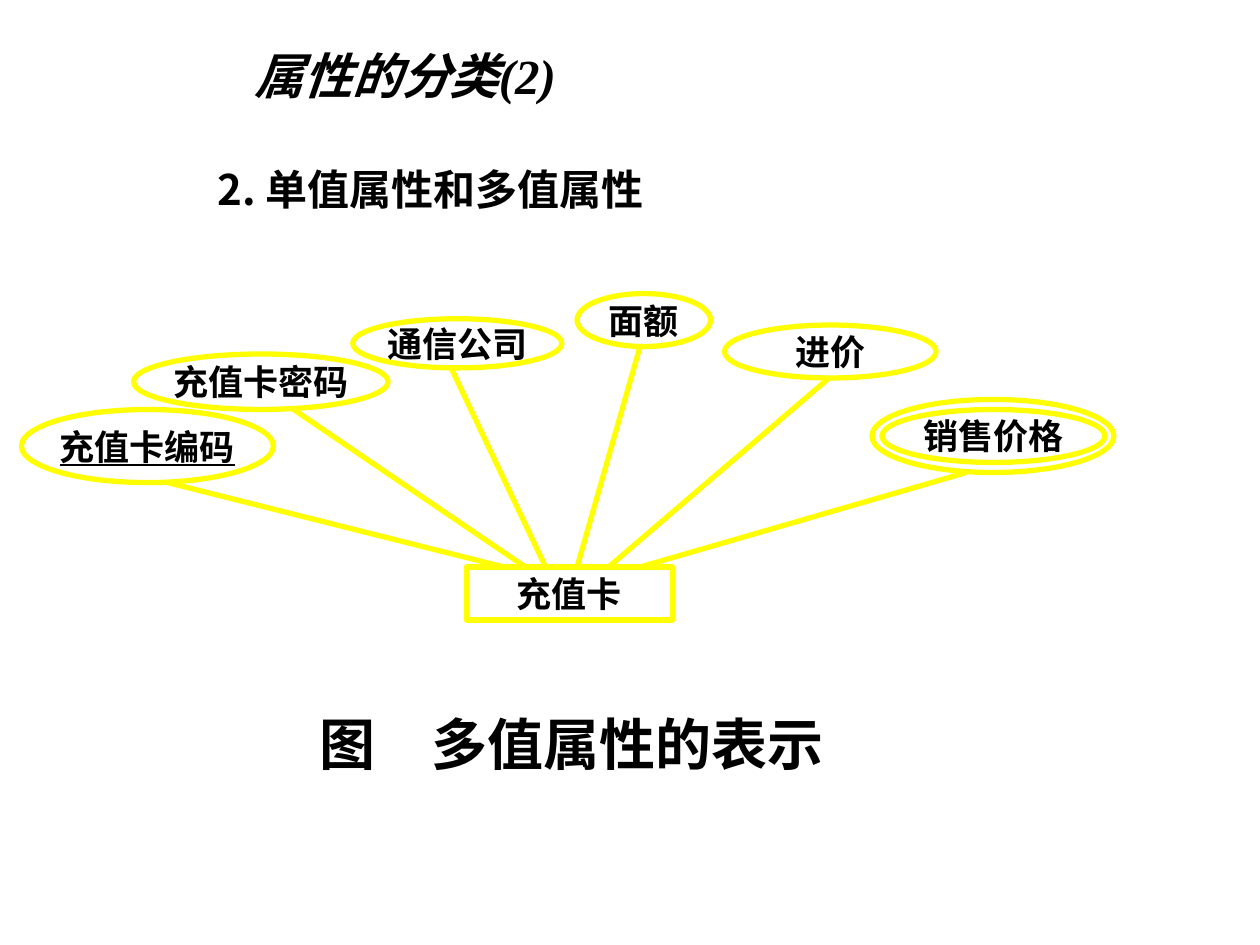
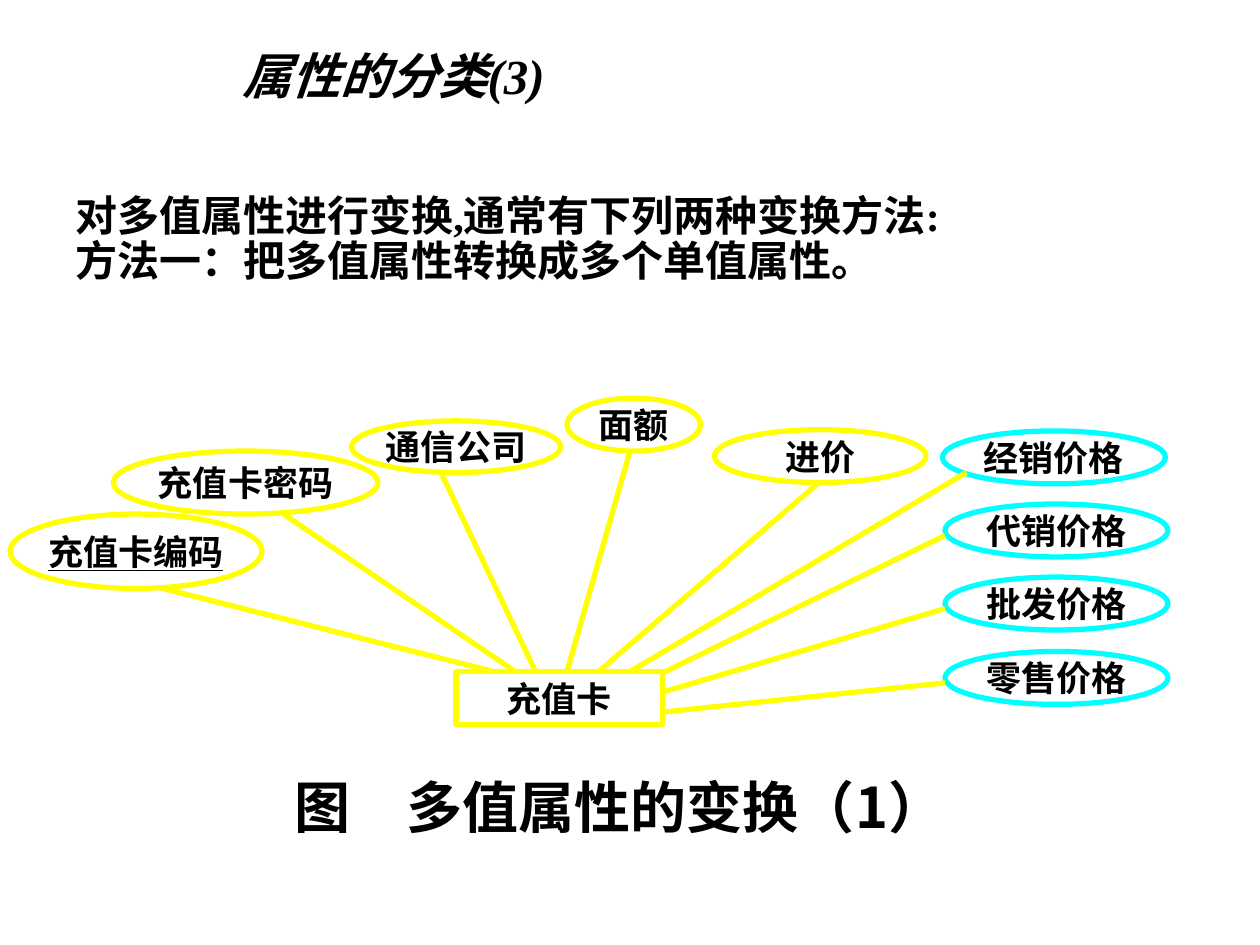
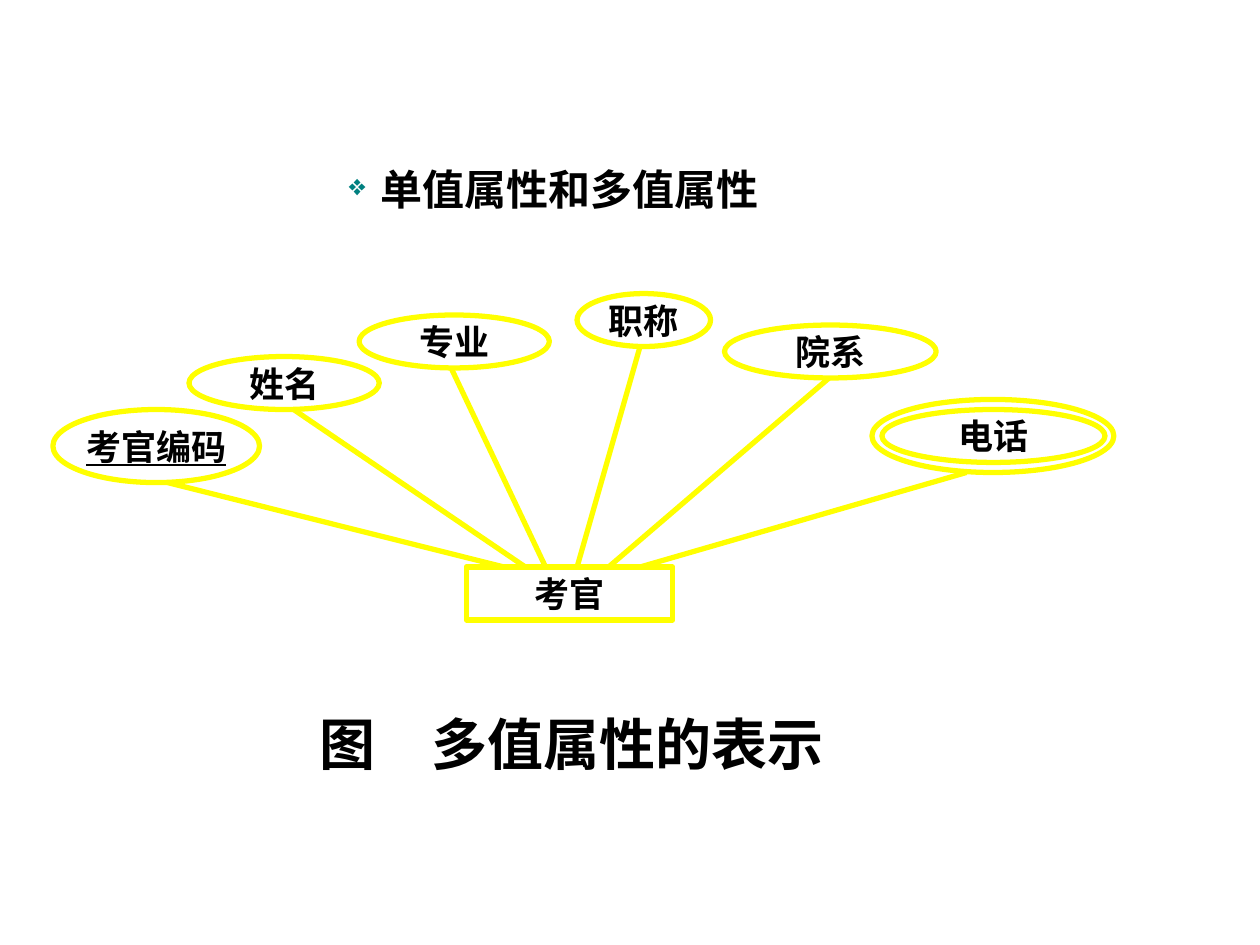
"""Builds three slides of entity diagrams about single-valued and multi-valued attributes."""
import lxml.etree
import pptx
import pptx.dml.color
import pptx.enum.shapes
import pptx.enum.text
import pptx.oxml.ns
import pptx.util

PX = 9144
COLOURS = {"text": "000000", "outline": "FFFF00", "price": "00FFFF", "bullet": "008080"}
SERIF, SANS = "Times New Roman", "Noto Sans CJK SC"
ALIGN = pptx.enum.text.PP_ALIGN
ANCHOR = pptx.enum.text.MSO_ANCHOR
SHAPE = pptx.enum.shapes.MSO_SHAPE
qn = pptx.oxml.ns.qn


def write(holder, words, size, font, align, anchor=ANCHOR.TOP, italic=False, underline=False):
    frame = holder.text_frame
    frame.word_wrap = True
    frame.vertical_anchor = anchor
    frame.text = words
    for paragraph in frame.paragraphs:
        paragraph.alignment = align
        for run in paragraph.runs:
            run.font.size = pptx.util.Pt(size)
            run.font.name = font
            run.font.bold = True
            run.font.italic = italic
            run.font.underline = underline
            run.font.color.rgb = pptx.dml.color.RGBColor.from_string(COLOURS["text"])
            east_asian = lxml.etree.SubElement(run.font._element, qn("a:ea"))
            east_asian.set("typeface", SANS)
    return frame


def outline(item, colour):
    item.line.color.rgb = pptx.dml.color.RGBColor.from_string(COLOURS[colour])
    item.line.width = pptx.util.Pt(3)


SPOKES = [
    (133, 383, 400, 450),
    (233, 325, 417, 450),
    (358, 292, 433, 450),
    (508, 275, 458, 450),
    (658, 300, 483, 450),
]
MULTI_SPOKE = (767, 375, 508, 450)
ENTITY_BOX = (370, 450, 164, 42)
FACE_BOX, COST_BOX = (458, 233, 106, 42), (575, 258, 168, 42)
MULTI_BOX, MULTI_RING = (700, 325, 177, 42), (692, 317, 192, 58)
PRICES = [("经销价格", 756, 259), ("代销价格", 758, 317), ("批发价格", 758, 375), ("零售价格", 758, 434)]

SLIDES = [
    {
        "title": "属性的分类(2)", "title_indent": 19,
        "body": "2. 单值属性和多值属性", "body_box": (163, 125, 662, 83), "body_font": SANS,
        "caption": "图　多值属性的表示", "caption_box": (158, 558, 592, 67),
        "shift": (0, 0), "entity": "充值卡",
        "attributes": [
            ("充值卡编码", (17, 325, 200, 58)),
            ("充值卡密码", (106, 281, 202, 44)),
            ("通信公司", (280, 253, 166, 39)),
            ("面额", FACE_BOX),
            ("进价", COST_BOX),
            ("销售价格", MULTI_BOX),
            ("", MULTI_RING),
        ],
        "prices": [], "extra_spokes": [MULTI_SPOKE],
    },
    {
        "title": "属性的分类(3)", "title_indent": 10,
        "body": "对多值属性进行变换,通常有下列两种变换方法:\n方法一：把多值属性转换成多个单值属性。",
        "body_box": (50, 150, 883, 175), "body_font": SERIF, "line_spacing": 0.9,
        "caption": "图　多值属性的变换（1）", "caption_box": (158, 608, 667, 67),
        "shift": (-8, 83), "entity": "充值卡",
        "attributes": [
            ("充值卡编码", (16, 325, 200, 59)),
            ("充值卡密码", (98, 275, 210, 50)),
            ("通信公司", (287, 251, 166, 41)),
            ("面额", FACE_BOX),
            ("进价", COST_BOX),
        ],
        "prices": PRICES,
        "extra_spokes": [
            (775, 292, 508, 450), (758, 342, 532, 452), (758, 400, 535, 466), (758, 459, 535, 482),
        ],
    },
    {
        "body": "单值属性和多值属性", "body_box": (163, 125, 662, 83), "body_font": SANS, "bullet": "❖",
        "caption": "图　多值属性的表示", "caption_box": (158, 558, 592, 67),
        "shift": (0, 0), "entity": "考官",
        "attributes": [
            ("考官编码", (42, 325, 164, 58)),
            ("姓名", (150, 283, 151, 42)),
            ("专业", (285, 250, 151, 42)),
            ("职称", FACE_BOX),
            ("院系", COST_BOX),
            ("电话", MULTI_BOX),
            ("", MULTI_RING),
        ],
        "prices": [], "extra_spokes": [MULTI_SPOKE],
    },
]

deck = pptx.Presentation()
deck.slide_width, deck.slide_height = 1000 * PX, 750 * PX

for content in SLIDES:
    slide = deck.slides.add_slide(deck.slide_layouts[6])
    shapes = slide.shapes

    if "title" in content:
        title = shapes.add_textbox(173 * PX, 21 * PX, 740 * PX, 67 * PX)
        heading = write(title, content["title"], 28, SERIF, ALIGN.LEFT, ANCHOR.BOTTOM, italic=True)
        heading.paragraphs[0]._p.get_or_add_pPr().set("marL", str(content["title_indent"] * PX))

    body = shapes.add_textbox(*[length * PX for length in content["body_box"]])
    body_frame = write(body, content["body"], 24, content["body_font"], ALIGN.JUSTIFY)
    for paragraph in body_frame.paragraphs:
        paragraph.line_spacing = content.get("line_spacing")
    if "bullet" in content:
        properties = body_frame.paragraphs[0]._p.get_or_add_pPr()
        properties.set("marL", str(129 * PX))
        properties.set("indent", str(-25 * PX))
        bullet_colour = lxml.etree.SubElement(properties, qn("a:buClr"))
        lxml.etree.SubElement(bullet_colour, qn("a:srgbClr")).set("val", COLOURS["bullet"])
        lxml.etree.SubElement(properties, qn("a:buSzPct")).set("val", "70000")
        lxml.etree.SubElement(properties, qn("a:buChar")).set("char", content["bullet"])

    shift_x, shift_y = content["shift"]
    nodes = [(content["entity"], ENTITY_BOX, SHAPE.RECTANGLE, "outline")]
    nodes += [(label, box, SHAPE.OVAL, "outline") for label, box in content["attributes"]]
    nodes += [(label, (x, y, 177, 42), SHAPE.OVAL, "price") for label, x, y in content["prices"]]
    key_label = content["attributes"][0][0]
    for label, (x, y, width, height), kind, colour in nodes:
        node = shapes.add_shape(kind, (x + shift_x) * PX, (y + shift_y) * PX, width * PX, height * PX)
        node.shadow.inherit = False
        node.fill.background()
        outline(node, colour)
        if label:
            frame = write(node, label, 20, SERIF, ALIGN.CENTER, ANCHOR.MIDDLE, underline=label == key_label)
            frame.margin_left = frame.margin_right = frame.margin_top = frame.margin_bottom = 0

    for x1, y1, x2, y2 in SPOKES + content["extra_spokes"]:
        spoke = shapes.add_connector(
            pptx.enum.shapes.MSO_CONNECTOR.STRAIGHT,
            (x1 + shift_x) * PX, (y1 + shift_y) * PX, (x2 + shift_x) * PX, (y2 + shift_y) * PX,
        )
        outline(spoke, "outline")
        lxml.etree.SubElement(spoke._element.spPr, qn("a:effectLst"))

    caption = shapes.add_textbox(*[length * PX for length in content["caption_box"]])
    write(caption, content["caption"], 32, SANS, ALIGN.CENTER)

deck.save("out.pptx")
